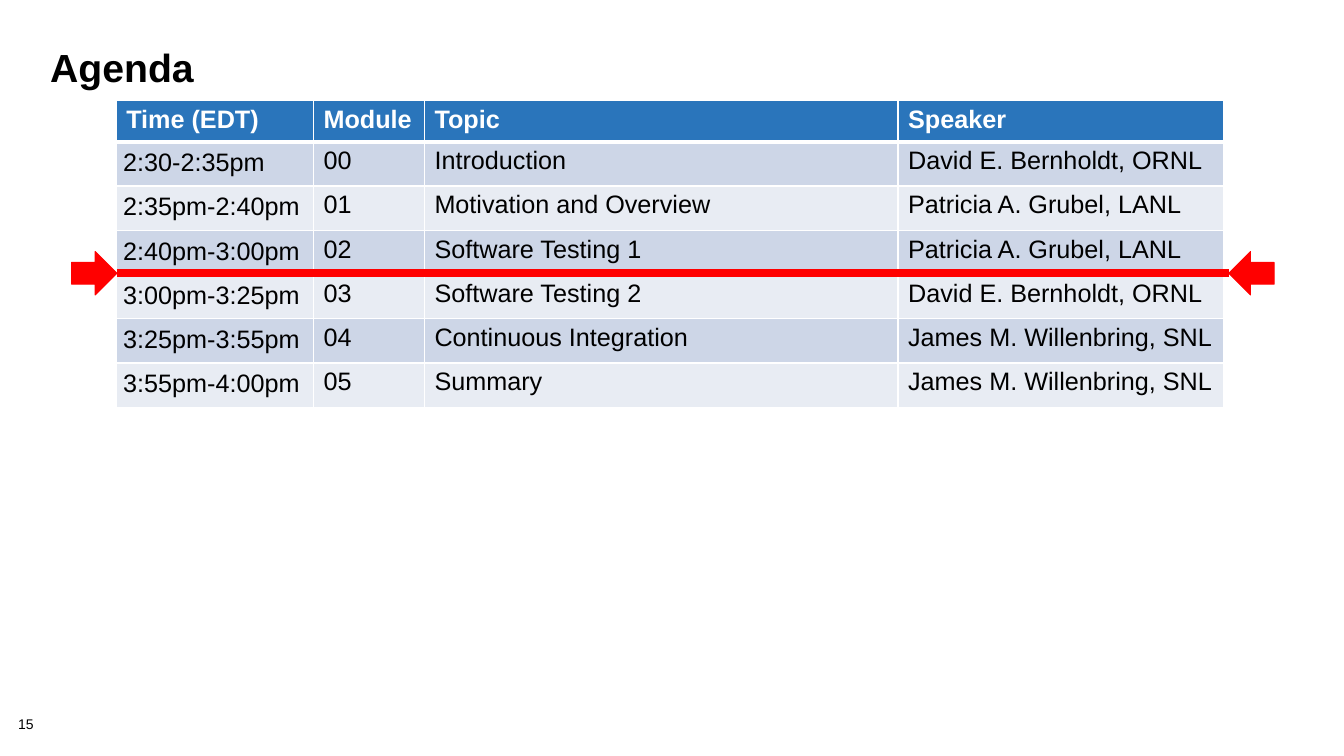
from lxml.etree import SubElement
from pptx import Presentation
from pptx.dml.color import RGBColor
from pptx.enum.shapes import MSO_CONNECTOR as Connector, MSO_SHAPE as Shape
from pptx.oxml.ns import qn
from pptx.util import Pt

BLACK = RGBColor(0x00, 0x00, 0x00)
WHITE = RGBColor(0xFF, 0xFF, 0xFF)
BLUE = RGBColor(0x2A, 0x75, 0xBB)
BAND_DARK = RGBColor(0xCD, 0xD6, 0xE7)
BAND_LIGHT = RGBColor(0xE8, 0xEC, 0xF3)
RED = RGBColor(0xFF, 0x00, 0x00)

COLUMN_WIDTHS = (141, 79.2, 338.3, 232.5)
ROW_HEIGHT = 29.2
AGENDA = (
    ("Time (EDT)", "Module", "Topic", "Speaker"),
    ("2:30-2:35pm", "00", "Introduction", "David E. Bernholdt, ORNL"),
    ("2:35pm-2:40pm", "01", "Motivation and Overview", "Patricia A. Grubel, LANL"),
    ("2:40pm-3:00pm", "02", "Software Testing 1", "Patricia A. Grubel, LANL"),
    ("3:00pm-3:25pm", "03", "Software Testing 2", "David E. Bernholdt, ORNL"),
    ("3:25pm-3:55pm", "04", "Continuous Integration", "James M. Willenbring, SNL"),
    ("3:55pm-4:00pm", "05", "Summary", "James M. Willenbring, SNL"),
)


def write(frame, text, size=18, color=BLACK, bold=False, spacing=None, font="Arial"):
    """Put one formatted line of text into a text frame."""
    para = frame.paragraphs[0]
    para.line_spacing = spacing
    span = para.add_run()
    span.text = text
    span.font.name = font
    span.font.size = Pt(size)
    span.font.bold = bold
    span.font.color.rgb = color


def set_margins(target, margin):
    """Give a cell or text frame the same margin on all sides."""
    for side in ("left", "top", "right", "bottom"):
        setattr(target, f"margin_{side}", Pt(margin))


class SlideBuilder:
    """Holds the style and the current slide."""

    def __init__(self, page, accent=RED, border=WHITE):
        """Remember the slide and its colours."""
        self.page = page
        self.accent = accent
        self.border = border

    def text(self, text, left, top, width, height, margin=None, **style):
        """Add a text box."""
        box = self.page.shapes.add_textbox(Pt(left), Pt(top), Pt(width), Pt(height))
        box.text_frame.word_wrap = True
        if margin is not None:
            set_margins(box.text_frame, margin)
        write(box.text_frame, text, **style)

    def edge(self, cell, side, width):
        """Draw one border of a table cell."""
        line = SubElement(cell._tc.get_or_add_tcPr(), qn(f"a:ln{side}"), w=str(Pt(width)))
        fill = SubElement(line, qn("a:solidFill"))
        SubElement(fill, qn("a:srgbClr"), val=str(self.border))

    def table(self, rows, left, top, widths, row_height):
        """Add a banded table with a header row."""
        frame = self.page.shapes.add_table(
            len(rows), len(widths), Pt(left), Pt(top),
            Pt(sum(widths)), Pt(row_height * len(rows)))
        table = frame.table
        for column, width in zip(table.columns, widths):
            column.width = Pt(width)
        for i, row in enumerate(rows):
            table.rows[i].height = Pt(row_height)
            header = i == 0
            band = BLUE if header else (BAND_LIGHT, BAND_DARK)[i % 2]
            for j, text in enumerate(row):
                cell = table.cell(i, j)
                if j == 0 and not header:
                    set_margins(cell, 5)
                edges = {"L": 1, "R": 1, "T": 3 if i == 1 else 1, "B": 3 if header else 1}
                for side, width in edges.items():
                    self.edge(cell, side, width)
                cell.fill.solid()
                cell.fill.fore_color.rgb = band
                write(cell.text_frame, text, color=WHITE if header else BLACK, bold=header)

    def line(self, start, end, y, width):
        """Add a horizontal accent line."""
        line = self.page.shapes.add_connector(
            Connector.STRAIGHT, Pt(start), Pt(y), Pt(end), Pt(y))
        line.line.color.rgb = self.accent
        line.line.width = Pt(width)
        SubElement(line._element.spPr, qn("a:effectLst"))

    def arrow(self, left, middle, width, height, rotation=0):
        """Add a block arrow centred on a height."""
        arrow = self.page.shapes.add_shape(
            Shape.RIGHT_ARROW, Pt(left), Pt(middle - height / 2), Pt(width), Pt(height))
        arrow.rotation = rotation
        arrow.shadow.inherit = False
        arrow.fill.solid()
        arrow.fill.fore_color.rgb = self.accent
        arrow.line.color.rgb = self.accent
        arrow.line.width = Pt(0.75)


def main():
    """Build and save the agenda slide."""
    deck = Presentation()
    deck.slide_width, deck.slide_height = Pt(960), Pt(540)
    slide = SlideBuilder(deck.slides.add_slide(deck.slide_layouts[6]))

    slide.text("15", 13, 512.6, 40, 11.5, margin=0, size=10, spacing=0.9)
    slide.text("Agenda", 28.8, 32.4, 895.7, 72, size=28, bold=True, spacing=0.85)
    slide.table(AGENDA, 83, 72, COLUMN_WIDTHS, ROW_HEIGHT)

    start, end, middle = 83.5, 877.7, 195.2
    width, height = 32.4, 31
    slide.line(start, end, middle, 6)
    slide.arrow(start - width, middle, width, height)
    slide.arrow(end, middle, width, height, rotation=180)

    deck.save("out.pptx")


if __name__ == "__main__":
    main()
